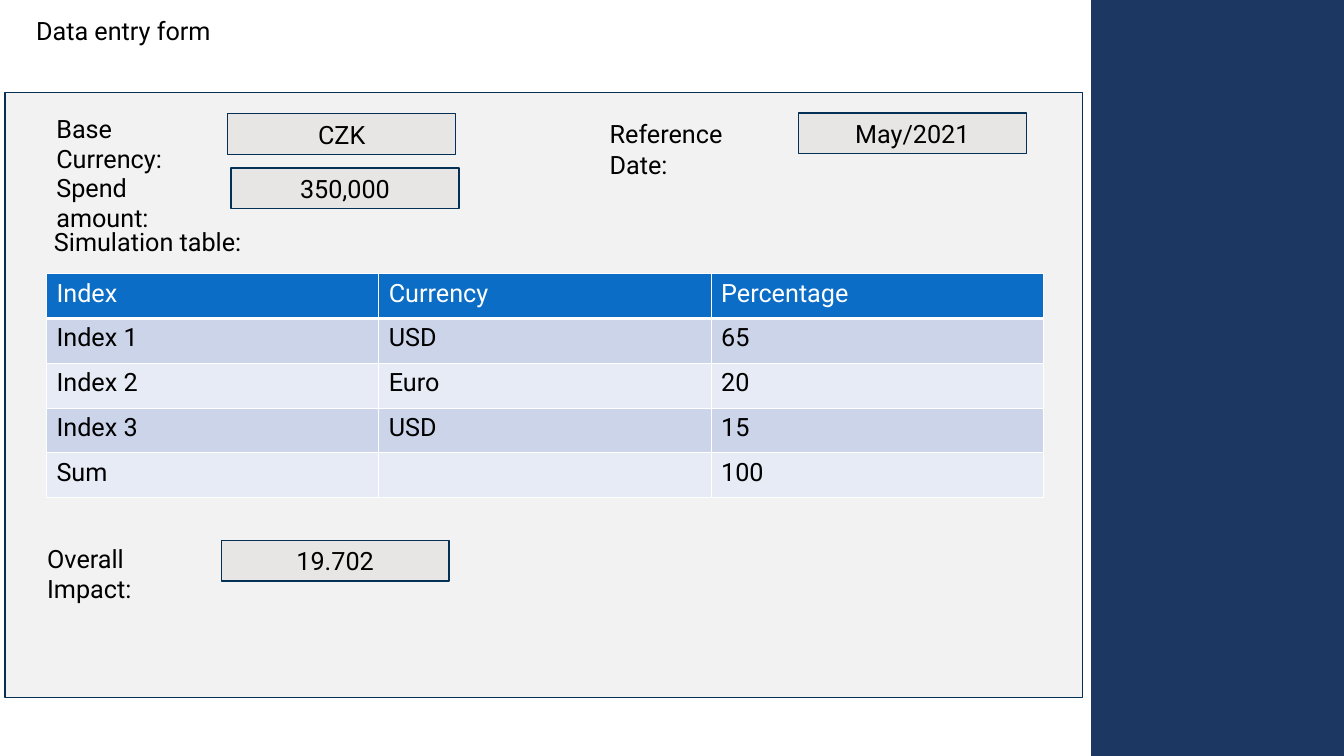
import pptx
import pptx.util
import pptx.dml.color
import pptx.enum.shapes
import pptx.enum.text
import pptx.oxml
import pptx.oxml.ns

Pt = pptx.util.Pt
RGBColor = pptx.dml.color.RGBColor
NAVY = RGBColor(0x1D, 0x37, 0x63)
EDGE = RGBColor(0x05, 0x30, 0x56)
PANEL = RGBColor(0xF2, 0xF2, 0xF2)
FIELD = RGBColor(0xE8, 0xE5, 0xE5)
HEAD = RGBColor(0x0B, 0x6D, 0xC5)
BANDS = [RGBColor(0xE7, 0xEB, 0xF5), RGBColor(0xCC, 0xD4, 0xEA)]
BLACK = RGBColor(0, 0, 0)
WHITE = RGBColor(0xFF, 0xFF, 0xFF)


def write(frame, text, color=BLACK):
    para = frame.paragraphs[0]
    para.text = text
    style = {"name": "Roboto", "size": Pt(18), "bold": False}
    for key, value in style.items():
        setattr(para.font, key, value)
    para.font.color.rgb = color
    return para


def draw(left, top, width, height, fill, edge=None):
    box = slide.shapes.add_shape(
        pptx.enum.shapes.MSO_SHAPE.RECTANGLE, Pt(left), Pt(top), Pt(width), Pt(height)
    )
    box.shadow.inherit = False
    box.fill.solid()
    box.fill.fore_color.rgb = fill
    if edge is None:
        box.line.fill.background()
    else:
        box.line.color.rgb = edge
        box.line.width = Pt(1)
    return box


deck = pptx.Presentation()
deck.slide_width = Pt(960)
deck.slide_height = Pt(540)
slide = deck.slides.add_slide(deck.slide_layouts[6])

draw(779.5, 0, 180.5, 540, NAVY)
draw(3.6, 66.2, 769.7, 432, PANEL, EDGE)

fields = [
    ("CZK", 162.7, 81.2),
    ("350,000", 165, 120),
    ("19.702", 158, 386),
    ("May/2021", 570.3, 80.6),
]
for text, left, top in fields:
    field = draw(left, top, 162.8, 29, FIELD, EDGE)
    field.text_frame.vertical_anchor = pptx.enum.text.MSO_ANCHOR.MIDDLE
    para = write(field.text_frame, text)
    para.alignment = pptx.enum.text.PP_ALIGN.CENTER

labels = [
    ("Data entry form", 18.7, 7.2, 608),
    ("Base Currency:", 33.2, 77.4, 124.5),
    ("Spend amount:", 33.2, 119.3, 127),
    ("Simulation table:", 31.5, 157.8, 160.5),
    ("Overall Impact:", 26.6, 384.5, 126.5),
    ("Reference Date:", 428.4, 81.2, 132.5),
]
for text, left, top, width in labels:
    label = slide.shapes.add_textbox(Pt(left), Pt(top), Pt(width), Pt(29))
    label.text_frame.word_wrap = True
    write(label.text_frame, text)

rows = [
    ("Index", "Currency", "Percentage"),
    ("Index 1", "USD", "65"),
    ("Index 2", "Euro", "20"),
    ("Index 3", "USD", "15"),
    ("Sum", "", "100"),
]
table = slide.shapes.add_table(
    len(rows), 3, Pt(33.2), Pt(195.6), Pt(712.2), Pt(160)
).table
for col in table.columns:
    col.width = Pt(237.4)
for y, row in enumerate(rows):
    table.rows[y].height = Pt(32)
    for x, text in enumerate(row):
        cell = table.cell(y, x)
        write(cell.text_frame, text, BLACK if y else WHITE)
        props = cell._tc.get_or_add_tcPr()
        for side in ("lnL", "lnR", "lnT", "lnB"):
            size = Pt(3 if y == 0 and side == "lnB" else 1)
            props.append(pptx.oxml.parse_xml(
                f'<a:{side} {pptx.oxml.ns.nsdecls("a")} w="{size}">'
                f'<a:solidFill><a:srgbClr val="{WHITE}"/></a:solidFill></a:{side}>'
            ))
        cell.fill.solid()
        cell.fill.fore_color.rgb = BANDS[y % 2] if y else HEAD

deck.save("out.pptx")
